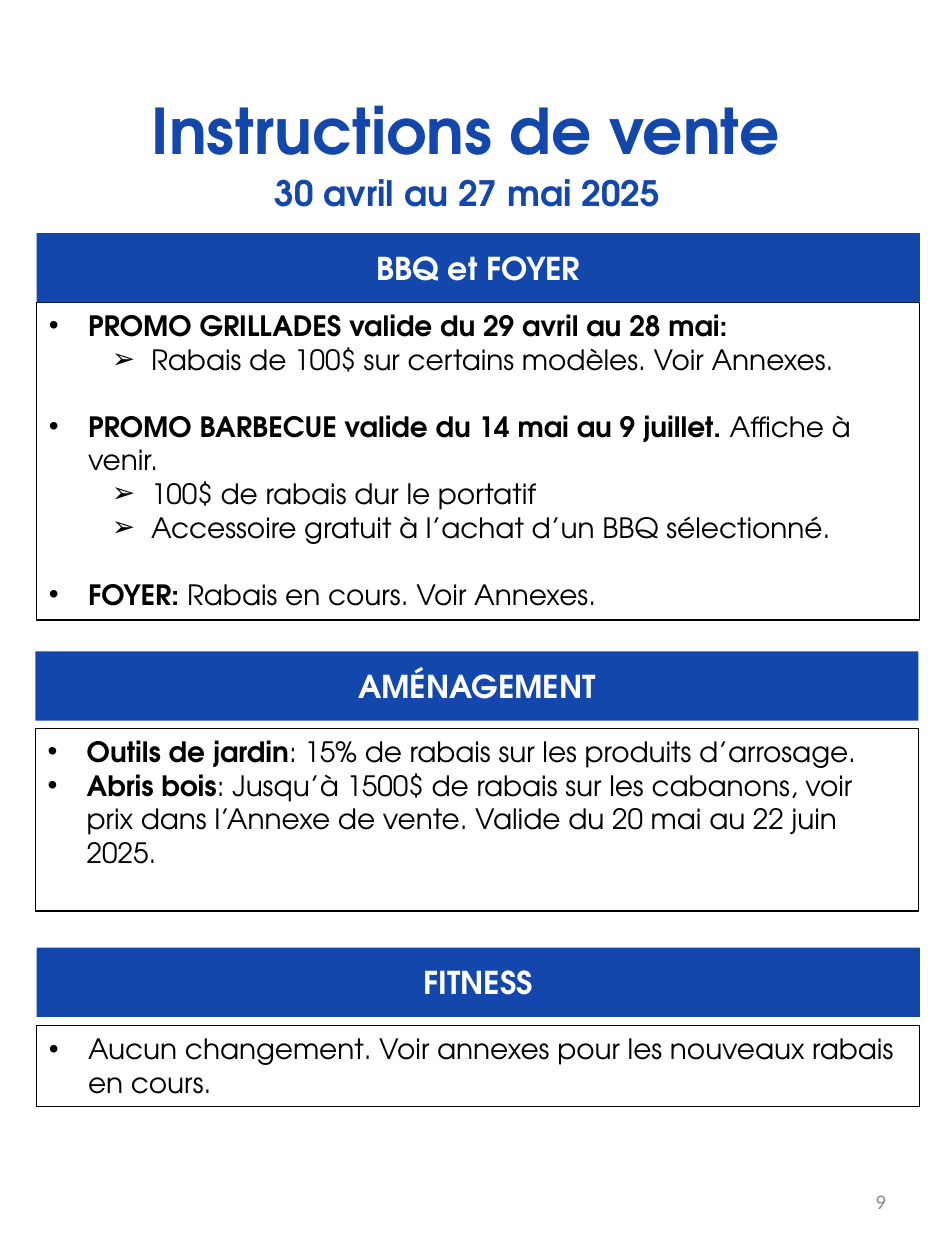
from lxml.etree import SubElement
from pptx import Presentation
from pptx.dml.color import RGBColor
from pptx.enum.shapes import MSO_SHAPE as Shape
from pptx.enum.text import MSO_ANCHOR as Anchor, PP_ALIGN as Align
from pptx.oxml.ns import qn
from pptx.util import Inches, Pt

BLUE, WHITE, BLACK, GREY = "1447AB", "FFFFFF", "000000", "8C8C8C"
FONT = "TeX Gyre Adventor"
BULLETS = ["•", "➢"]
GAP = 19.2  # one empty line of 16 point text

# Each item: level, space before, bold words, plain words
BBQ = [
    (0, 0, "PROMO GRILLADES valide du 29 avril au 28 mai:", ""),
    (1, 0, "", "Rabais de 100$ sur certains modèles. Voir Annexes."),
    (0, GAP, "PROMO BARBECUE valide du 14 mai au 9 juillet. ", "Affiche à venir."),
    (1, 0, "", "100$ de rabais dur le portatif"),
    (1, 0, "", "Accessoire gratuit à l’achat d’un BBQ sélectionné."),
    (0, GAP, "FOYER: ", "Rabais en cours. Voir Annexes."),
]
GARDEN = [
    (0, 0, "Outils de jardin", ": 15% de rabais sur les produits d’arrosage."),
    (0, 0, "Abris bois", ": Jusqu’à 1500$ de rabais sur les cabanons, voir prix "
     "dans l’Annexe de vente. Valide du 20 mai au 22 juin 2025."),
]
FITNESS = [
    (0, 0, "", "Aucun changement. Voir annexes pour les nouveaux rabais en cours."),
]

# Left, header top, list top, list height, heading, items
SECTIONS = [
    (0.29, 1.85, 2.4, 2.52, "BBQ et FOYER", BBQ),
    (0.28, 5.17, 5.78, 1.45, "AMÉNAGEMENT", GARDEN),
    (0.29, 7.52, 8.14, 0.64, "FITNESS", FITNESS),
]


def color(value):
    return RGBColor.from_string(value)


def set_font(para, size, value, bold=None, name=FONT):
    para.font.name = name
    para.font.size = Pt(size)
    para.font.color.rgb = color(value)
    para.font.bold = bold


def add_label(page, box, text, size, value, align=Align.CENTER, bold=True,
              name=FONT):
    """One line of text in a text box."""
    label = page.shapes.add_textbox(*map(Inches, box))
    label.text_frame.word_wrap = True
    para = label.text_frame.paragraphs[0]
    para.text = text
    para.alignment = align
    set_font(para, size, value, bold, name)
    return label.text_frame


def add_rectangle(page, box, fill=None, line=None):
    shape = page.shapes.add_shape(Shape.RECTANGLE, *map(Inches, box))
    shape.shadow.inherit = False
    if fill:
        shape.fill.solid()
        shape.fill.fore_color.rgb = color(fill)
    else:
        shape.fill.background()
    if line:
        shape.line.color.rgb = color(line)
        shape.line.width = Pt(0.75)
    else:
        shape.line.fill.background()
    shape.text_frame.word_wrap = True
    return shape.text_frame


def add_header(page, box, text):
    """Blue band with a section heading."""
    frame = add_rectangle(page, box, fill=BLUE)
    frame.vertical_anchor = Anchor.MIDDLE
    para = frame.paragraphs[0]
    para.text = text
    para.alignment = Align.CENTER
    set_font(para, 18, WHITE, True)


def add_list(page, box, items):
    """Outlined box with a two-level bullet list."""
    frame = add_rectangle(page, box, line=BLACK)
    frame.vertical_anchor = Anchor.TOP
    for index, (level, before, strong, plain) in enumerate(items):
        para = frame.add_paragraph() if index else frame.paragraphs[0]
        para.level = level
        para.alignment = Align.LEFT
        if before:
            para.space_before = Pt(before)
        props = para._p.get_or_add_pPr()
        props.set("marL", str(Inches(0.31 + 0.5 * level)))
        props.set("indent", str(Inches(-0.31)))
        SubElement(props, qn("a:buFont"), typeface="Arial")
        SubElement(props, qn("a:buChar"), char=BULLETS[level])
        set_font(para, 16, BLACK)
        for text, bold in ((strong, True), (plain, False)):
            if text:
                span = para.add_run()
                span.text = text
                span.font.bold = bold


def add_title(page, box):
    """Title with the dates below it."""
    left, top, width, height = box
    lines = [
        ("Instructions de vente", 36, (left, top, width, height)),
        ("30 avril au 27 mai 2025", 20, (left + 0.99, top + 0.67, 4.8, 0.48)),
    ]
    for text, size, place in lines:
        para = add_label(page, place, text, size, BLUE).paragraphs[0]
        para.line_spacing = 1.15
        para.space_after = Pt(10)


def add_page_number(page, box):
    frame = add_label(page, box, "9", 12, GREY, Align.RIGHT, False, "Calibri")
    frame.vertical_anchor = Anchor.MIDDLE


def main():
    deck = Presentation()
    deck.slide_width, deck.slide_height = Inches(7.5), Inches(10)
    page = deck.slides.add_slide(deck.slide_layouts[6])

    add_title(page, (0.32, 0.59, 6.75, 0.79))
    for left, header_top, list_top, height, heading, items in SECTIONS:
        add_list(page, (left, list_top, 7.01, height), items)
        add_header(page, (left, header_top, 7.01, 0.55), heading)
    add_page_number(page, (5.38, 9.27, 1.75, 0.53))

    deck.save("out.pptx")


if __name__ == "__main__":
    main()
